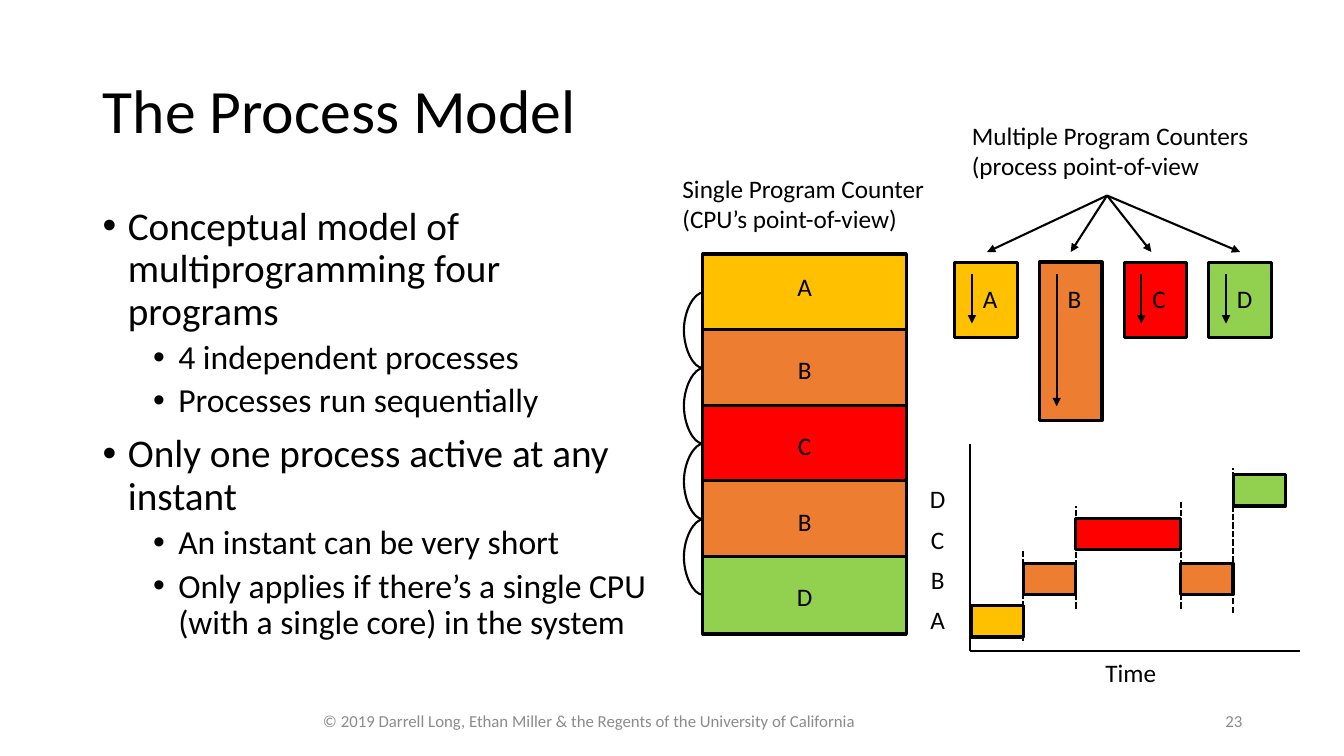
from lxml.etree import SubElement
from pptx import Presentation
from pptx.dml.color import RGBColor
from pptx.enum.dml import MSO_LINE
from pptx.enum.shapes import MSO_CONNECTOR as CXN, MSO_SHAPE
from pptx.enum.text import MSO_ANCHOR as ANCHOR, MSO_AUTO_SIZE, PP_ALIGN as ALIGN
from pptx.oxml.ns import qn
from pptx.util import Emu, Pt

PX = 9144
FONT = "Calibri"
BLACK = RGBColor(0x00, 0x00, 0x00)
GRAY = RGBColor(0x8B, 0x8B, 0x8B)
AMBER = RGBColor(0xFF, 0xC0, 0x00)
ORANGE = RGBColor(0xED, 0x7D, 0x31)
RED = RGBColor(0xFF, 0x00, 0x00)
GREEN = RGBColor(0x92, 0xD0, 0x50)
PROCESS_COLORS = {"A": AMBER, "B": ORANGE, "C": RED, "D": GREEN}

BULLETS = [
    (0, "Conceptual model of multiprogramming four programs"),
    (1, "4 independent processes"),
    (1, "Processes run sequentially"),
    (0, "Only one process active at any instant"),
    (1, "An instant can be very short"),
    (1, "Only applies if there’s a single CPU (with a single core) in the system"),
]


def px(*values):
    return [Emu(v * PX) for v in values]


def format_text(p, text, size=18, color=BLACK, align=ALIGN.LEFT):
    p.alignment = align
    r = p.add_run()
    r.text = text
    r.font.name = FONT
    r.font.size = Pt(size)
    r.font.color.rgb = color


def add_text(slide, box, text, anchor=ANCHOR.TOP, **fmt):
    tf = slide.shapes.add_textbox(*px(*box)).text_frame
    tf.word_wrap = True
    tf.vertical_anchor = anchor
    format_text(tf.paragraphs[0], text, **fmt)


def add_block(slide, box, process):
    sp = slide.shapes.add_shape(MSO_SHAPE.RECTANGLE, *px(*box))
    sp.shadow.inherit = False
    sp.fill.solid()
    sp.fill.fore_color.rgb = PROCESS_COLORS[process]
    sp.line.color.rgb = BLACK
    sp.line.width = Pt(2.25)


def add_line(slide, start, end, kind=CXN.STRAIGHT, arrow=False, dashed=False):
    cxn = slide.shapes.add_connector(kind, *px(*start, *end))
    cxn.line.color.rgb = BLACK
    cxn.line.width = Pt(1.5)
    if dashed:
        cxn.line.dash_style = MSO_LINE.SQUARE_DOT
    sp_pr = cxn._element.spPr
    if arrow:
        SubElement(sp_pr.find(qn("a:ln")), qn("a:tailEnd"), type="triangle")
    SubElement(sp_pr, qn("a:effectLst"))
    return cxn


def add_return_curve(slide, x, y, height):
    cxn = add_line(slide, (x + 1, y), (x, y + height), kind=CXN.CURVE)
    geom = cxn._element.spPr.find(qn("a:prstGeom"))
    guides = geom.find(qn("a:avLst"))
    if guides is None:
        guides = SubElement(geom, qn("a:avLst"))
    SubElement(guides, qn("a:gd"), name="adj1", fmla="val 2000000")


def add_title(slide, box, text):
    sp = slide.shapes.title
    sp.left, sp.top, sp.width, sp.height = px(*box)
    tf = sp.text_frame
    tf.auto_size = MSO_AUTO_SIZE.NONE
    tf.vertical_anchor = ANCHOR.MIDDLE
    p = tf.paragraphs[0]
    p.line_spacing = 0.9
    format_text(p, text, size=44)


def add_bullets(slide, box, items):
    tf = slide.shapes.add_textbox(*px(*box)).text_frame
    tf.word_wrap = True
    for i, (level, text) in enumerate(items):
        p = tf.paragraphs[0] if i == 0 else tf.add_paragraph()
        p.level = level
        p_pr = p._p.get_or_add_pPr()
        p_pr.set("marL", str((25 + 50 * level) * PX))
        p_pr.set("indent", str(-25 * PX))
        SubElement(p_pr, qn("a:buFont"), typeface="Arial")
        SubElement(p_pr, qn("a:buChar"), char="•")
        p.line_spacing = 0.9
        if i:
            p.space_before = Pt(5 if level else 10)
        format_text(p, text, size=24 if level else 28)


def add_single_counter(slide, left, top):
    add_text(slide, (left, top, 262, 71), "Single Program Counter (CPU’s point-of-view)")
    x, y, pitch = left + 30, top + 85, 75
    sequence = "ABCBD"
    for i, process in enumerate(sequence):
        bar_y = y + i * pitch
        add_block(slide, (x, bar_y, 202, 77), process)
        label_y = bar_y + (20 if i else 12)
        add_text(slide, (x + 35, label_y, 132, 37), process, align=ALIGN.CENTER)
    for i in range(len(sequence) - 1):
        add_return_curve(slide, x, y + 38 + i * pitch, pitch)


def add_multiple_counters(slide, left, top):
    add_text(slide, (left + 7, top, 305, 71),
             "Multiple Program Counters (process point-of-view")
    apex = (left + 151, top + 80)
    block_y = top + 146
    arrow_ends = (32, 115, 195, 283)
    for i, (process, end_x) in enumerate(zip("ABCD", arrow_ends)):
        x = left + 84 * i
        height = 157 if process == "B" else 75
        add_block(slide, (x, block_y, 62, height), process)
        add_text(slide, (x + 18, block_y + 16, 25, 43), process)
        add_line(slide, (x + 17, block_y + 12), (x + 17, block_y + height - 14), arrow=True)
        add_line(slide, apex, (left + end_x, top + 136), arrow=True)


def add_timeline(slide, left, top):
    axis_x, axis_y, unit = left + 53, top + 206, 52
    add_line(slide, (axis_x, top), (axis_x, axis_y))
    add_line(slide, (axis_x, axis_y), (axis_x + 327, axis_y))
    for process, y in zip("ABCD", (161, 119, 74, 31)):
        for run, start, length in (("A", 0, 1), ("B", 1, 1), ("C", 2, 2), ("B", 4, 1), ("D", 5, 1)):
            if run == process:
                add_block(slide, (axis_x + 1 + start * unit, top + y, length * unit, 31), run)
    for i, process in enumerate("ABCD"):
        add_text(slide, (left, top + 155 - 40 * i, 42, 42), process, align=ALIGN.CENTER)
    for start, low, high in ((1, 196, 105), (2, 164, 62), (4, 164, 58), (5, 168, 24)):
        x = axis_x + 1 + start * unit
        add_line(slide, (x, top + low), (x, top + high), dashed=True)
    add_text(slide, (left + 134, axis_y + 1, 157, 33), "Time", align=ALIGN.CENTER)


def add_footer(slide, left, top):
    fmt = dict(size=12, color=GRAY, anchor=ANCHOR.MIDDLE)
    add_text(slide, (left, top, 561, 40),
             "© 2019 Darrell Long, Ethan Miller & the Regents of the University of California",
             align=ALIGN.CENTER, **fmt)
    add_text(slide, (left + 638, top, 300, 40), "23", align=ALIGN.RIGHT, **fmt)


def main():
    prs = Presentation()
    prs.slide_width, prs.slide_height = px(1333, 750)
    slide = prs.slides.add_slide(prs.slide_layouts[5])
    add_title(slide, (92, 40, 1150, 145), "The Process Model")
    add_bullets(slide, (92, 200, 561, 476), BULLETS)
    add_single_counter(slide, 667, 167)
    add_multiple_counters(slide, 947, 114)
    add_timeline(slide, 909, 440)
    add_footer(slide, 304, 695)
    prs.save("out.pptx")


if __name__ == "__main__":
    main()
